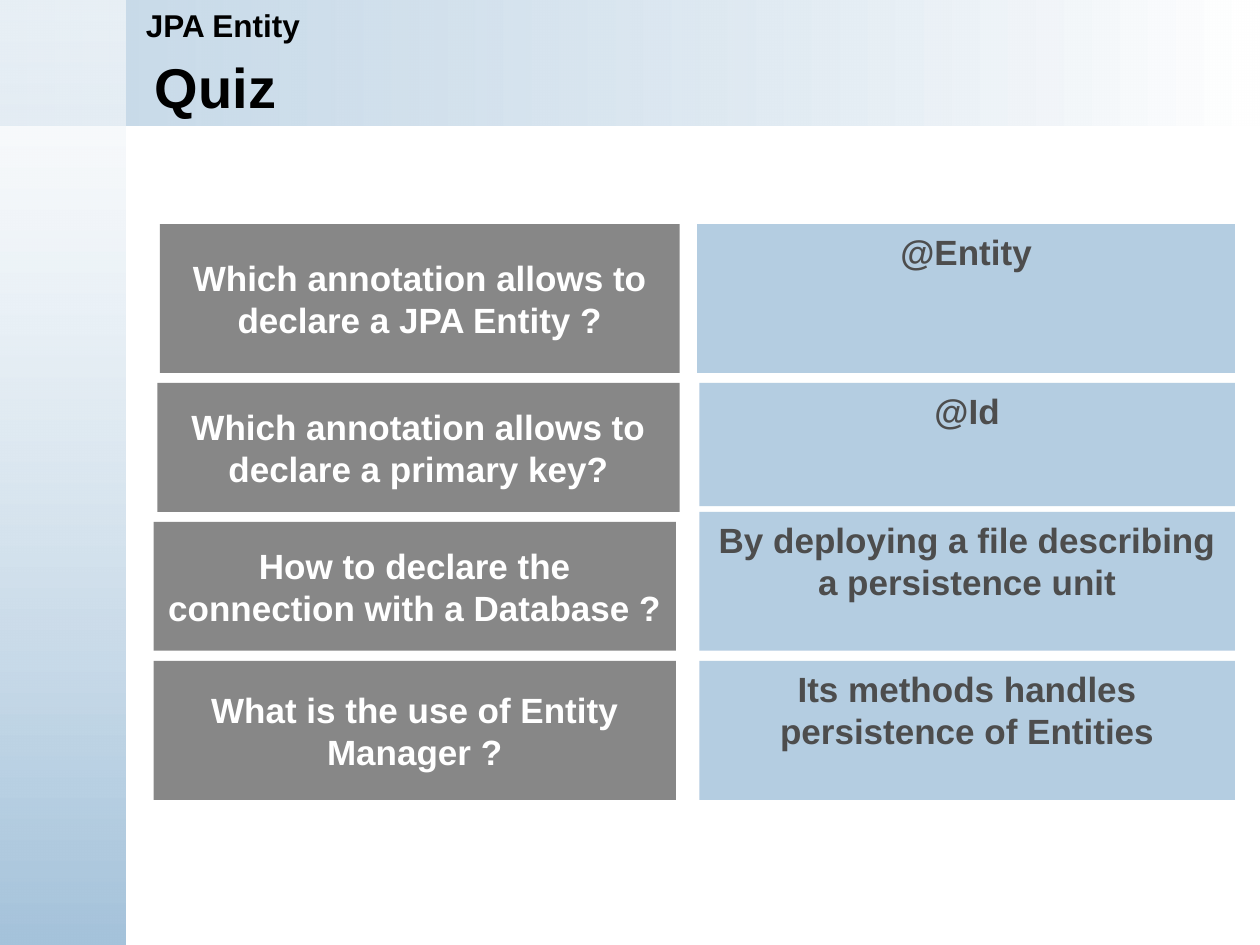
from pptx import Presentation
from pptx.dml.color import RGBColor as RGB
from pptx.enum.shapes import MSO_SHAPE as Kind
from pptx.enum.text import MSO_ANCHOR as Anchor, PP_ALIGN as Align
from pptx.oxml.ns import qn
from pptx.util import Pt
from lxml.etree import SubElement


class Theme:
    font = "Arial"
    black = RGB.from_string("000000")
    white = RGB.from_string("FFFFFF")
    gray = RGB.from_string("4D4D4D")
    blue = RGB.from_string("A5C3DB")
    title, head, body = Pt(32), Pt(18), Pt(20)


def add_rect(area, colors, alphas, angle=0):
    """Add a borderless box with a solid fill, or a gradient for two colors."""
    box = slide.shapes.add_shape(Kind.RECTANGLE, *map(Pt, area))
    box.shadow.inherit = False
    box.line.fill.background()
    if len(colors) == 1:
        box.fill.solid()
        box.fill.fore_color.rgb = colors[0]
    else:
        box.fill.gradient()
        box.fill.gradient_angle = angle
        for stop, color in zip(box.fill.gradient_stops, colors):
            stop.color.rgb = color
    for node, alpha in zip(box._element.spPr.iter(qn("a:srgbClr")), alphas):
        SubElement(node, qn("a:alpha")).set("val", str(alpha * 1000))
    return box


def set_text(box, text, size, color, anchor, align=Align.LEFT, before=0, after=0):
    frame = box.text_frame
    frame.word_wrap = True
    frame.vertical_anchor = anchor
    frame.text = text
    para = frame.paragraphs[0]
    para.alignment = align
    para.space_before, para.space_after = Pt(before), Pt(after)
    font = para.runs[0].font
    font.name, font.size, font.bold = Theme.font, size, True
    font.color.rgb = color


deck = Presentation()
deck.slide_width, deck.slide_height = Pt(720), Pt(540)
slide = deck.slides.add_slide(deck.slide_layouts[6])

# Header and side bands
add_rect((0, 0, 720, 72), (Theme.blue, Theme.white), (62, 100))
add_rect((0, 0, 72, 540), (Theme.white, Theme.blue), (59, 100), 270)

# Title and chapter name
title = slide.shapes.add_textbox(Pt(81.36), Pt(26.64), Pt(608.4), Pt(45.36))
set_text(title, "Quiz", Theme.title, Theme.black, Anchor.MIDDLE)
head = slide.shapes.add_textbox(Pt(76.32), Pt(0), Pt(643.68), Pt(28.8))
set_text(head, "JPA Entity", Theme.head, Theme.black, Anchor.TOP, before=11.2)

# Questions and answers: left, top, right, height of each box
quiz = [
    ("Which annotation allows to declare a JPA Entity ?", (91.3, 128.1, 388.4, 85.1),
     "@Entity", (398.4, 128.1, 705.7, 85.1)),
    ("Which annotation allows to declare a primary key?", (89.9, 218.8, 388.4, 73.7),
     "@Id", (399.6, 218.8, 705.7, 70.5)),
    ("How to declare the connection with a Database ?", (87.8, 298.2, 386.2, 73.7),
     "By deploying a file describing a persistence unit", (399.6, 292.5, 705.7, 79.3)),
    ("What is the use of Entity Manager ?", (87.8, 377.7, 386.2, 79.4),
     "Its methods handles persistence of Entities", (399.6, 377.7, 705.7, 79.4)),
]
for ask, ask_area, reply, reply_area in quiz:
    left, top, right, height = ask_area
    box = add_rect((left, top, right - left, height), [Theme.gray], [67])
    set_text(box, ask, Theme.body, Theme.white, Anchor.MIDDLE, Align.CENTER, before=12.5)
    left, top, right, height = reply_area
    box = add_rect((left, top, right - left, height), [Theme.blue], [83])
    set_text(box, reply, Theme.body, Theme.gray, Anchor.TOP, Align.CENTER, after=7.5)

deck.save("out.pptx")
